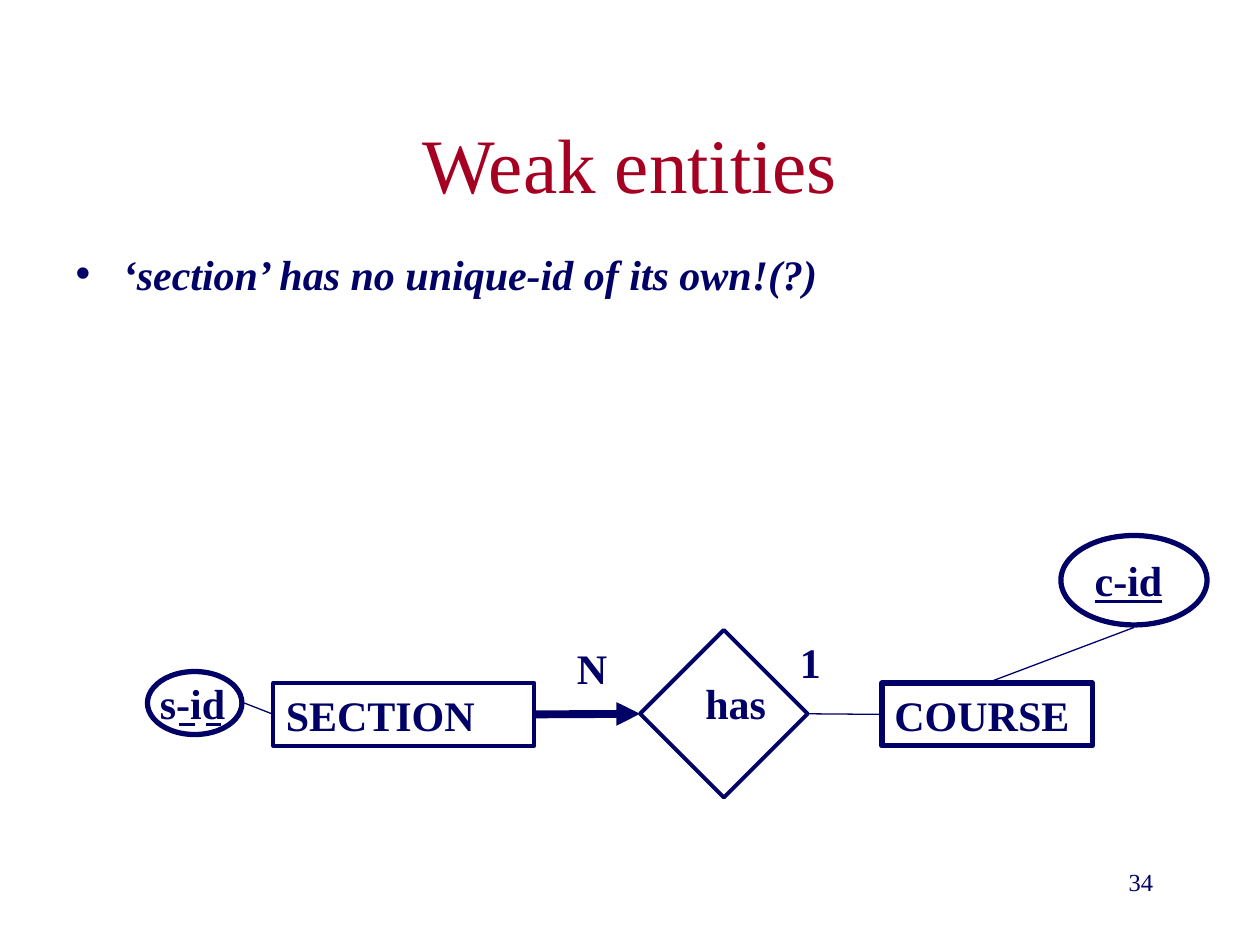
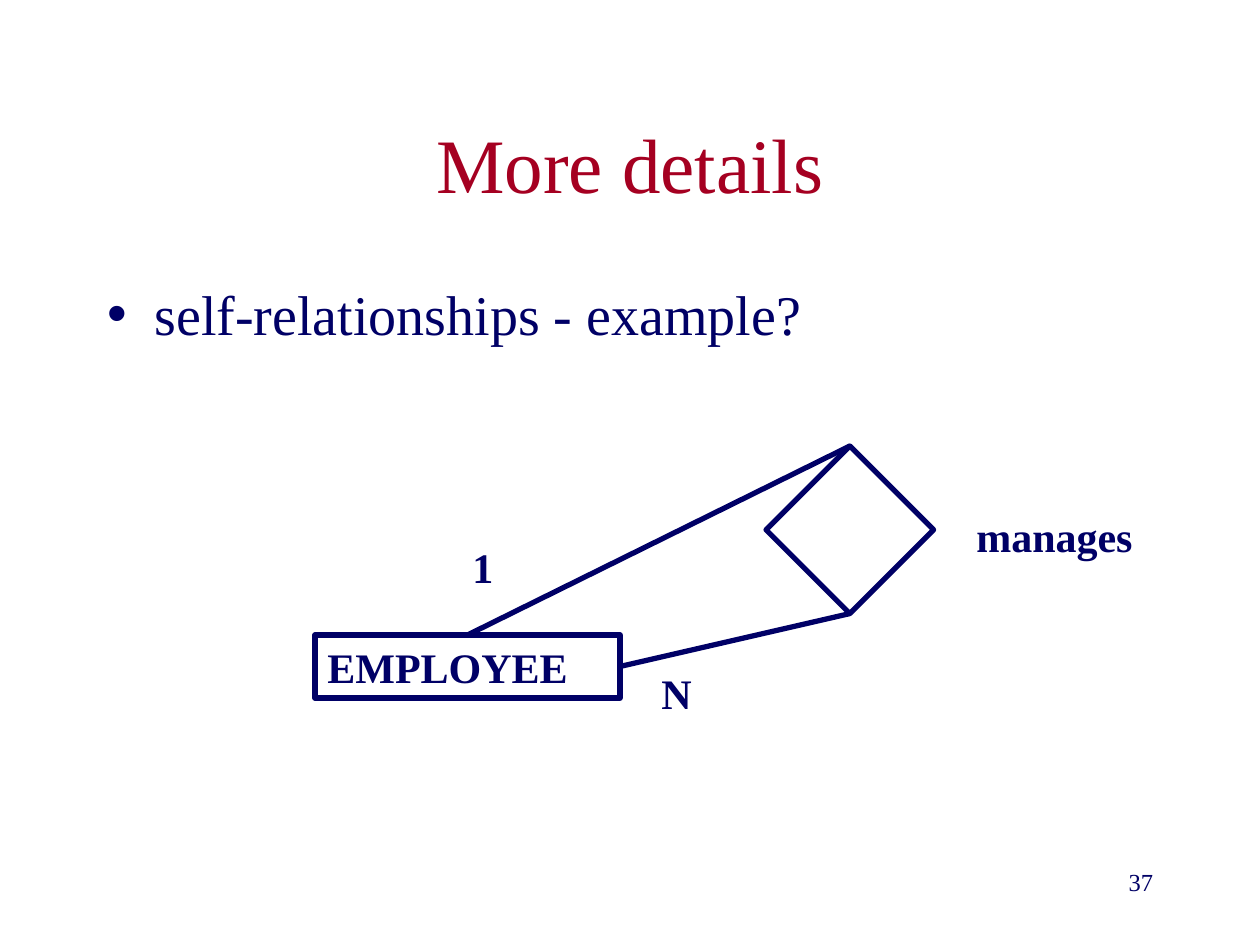
from pptx import Presentation
from pptx.dml.color import RGBColor
from pptx.enum.dml import MSO_LINE
from pptx.enum.shapes import MSO_CONNECTOR, MSO_SHAPE
from pptx.enum.text import MSO_ANCHOR, PP_ALIGN
from pptx.oxml.ns import qn
from pptx.util import Inches, Pt
from lxml import etree

FONT = "Times New Roman"
NAVY = "000066"
CRIMSON = "A50021"
TITLE_AND_CONTENT = 1
TOP, LEFT, BOTTOM, RIGHT = range(4)
RECTANGLE, ELLIPSE, DIAMOND = MSO_SHAPE.RECTANGLE, MSO_SHAPE.OVAL, MSO_SHAPE.DIAMOND
STRAIGHT = MSO_CONNECTOR.STRAIGHT
DASH = MSO_LINE.DASH
ALIGN_LEFT, ALIGN_CENTER, ALIGN_RIGHT = PP_ALIGN.LEFT, PP_ALIGN.CENTER, PP_ALIGN.RIGHT
ANCHOR_TOP, ANCHOR_MIDDLE = MSO_ANCHOR.TOP, MSO_ANCHOR.MIDDLE

TITLE_BOX = (0.75, 0.67, 8.5, 1.25)
NUMBER_BOX = (7.17, 6.83, 2.08, 0.5)
LABEL_HEIGHT = 0.5
DIAMOND_SIZE = 1.33


def rgb(color):
    return RGBColor.from_string(color)


def write(shape, text, size=24, color=NAVY, bold=False, italic=False, underline=False,
          align=ALIGN_LEFT, anchor=ANCHOR_TOP, wrap=True):
    frame = shape.text_frame
    frame.word_wrap = wrap
    frame.vertical_anchor = anchor
    paragraph = frame.paragraphs[0]
    paragraph.alignment = align
    run = paragraph.add_run()
    run.text = text
    font = run.font
    font.name, font.size = FONT, Pt(size)
    font.bold, font.italic, font.underline = bold, italic, underline
    font.color.rgb = rgb(color)


def place(shape, box):
    shape.left, shape.top, shape.width, shape.height = map(Inches, box)


def add_base_slide(presentation, title, bullet, bullet_box, number, **bullet_format):
    """Add a slide with its title, one bullet and the slide number."""
    slide = presentation.slides.add_slide(presentation.slide_layouts[TITLE_AND_CONTENT])
    place(slide.shapes.title, TITLE_BOX)
    write(slide.shapes.title, title, size=44, color=CRIMSON, align=ALIGN_CENTER,
          anchor=ANCHOR_MIDDLE)
    body = slide.placeholders[1]
    place(body, bullet_box)
    write(body, bullet, **bullet_format)
    number_box = slide.shapes.add_textbox(*map(Inches, NUMBER_BOX))
    write(number_box, number, size=14, align=ALIGN_RIGHT)
    return slide


def add_node(slide, kind, box, text="", line_width=3, **text_format):
    """Add an outlined entity, attribute or relationship."""
    shape = slide.shapes.add_shape(kind, *map(Inches, box))
    shape.shadow.inherit = False
    shape.fill.background()
    shape.line.color.rgb = rgb(NAVY)
    shape.line.width = Pt(line_width)
    if text:
        write(shape, text, bold=True, **text_format)
    return shape


def add_diamond(slide, left, top, line_width=3):
    return add_node(slide, DIAMOND, (left, top, DIAMOND_SIZE, DIAMOND_SIZE),
                    line_width=line_width)


def add_label(slide, text, left, top, width):
    box = slide.shapes.add_textbox(*map(Inches, (left, top, width, LABEL_HEIGHT)))
    write(box, text, bold=True, wrap=False)


def add_line(slide, start, end, width=0.75, dash=None, arrow=False):
    """Draw a line; each end is an (x, y) point or a (shape, side) pair."""
    connector = slide.shapes.add_connector(STRAIGHT, 0, 0, 0, 0)
    if isinstance(start[0], (int, float)):
        connector.begin_x, connector.begin_y = map(Inches, start)
    else:
        connector.begin_connect(*start)
    if isinstance(end[0], (int, float)):
        connector.end_x, connector.end_y = map(Inches, end)
    else:
        connector.end_connect(*end)
    connector.line.color.rgb = rgb(NAVY)
    connector.line.width = Pt(width)
    if dash:
        connector.line.dash_style = dash
    properties = connector._element.spPr
    if arrow:
        etree.SubElement(properties.find(qn("a:ln")), qn("a:tailEnd"), type="triangle")
    etree.SubElement(properties, qn("a:effectLst"))


def build_weak_entities(presentation):
    slide = add_base_slide(presentation, "Weak entities",
                           "‘section’ has no unique-id of its own!(?)",
                           (0.5, 1.92, 8.42, 3.13), "34", bold=True, italic=True)
    course = add_node(slide, RECTANGLE, (7, 5.42, 1.67, 0.5), "COURSE")
    add_node(slide, ELLIPSE, (8.42, 4.25, 1.16, 0.71), "c-id", underline=True)
    section = add_node(slide, RECTANGLE, (2.17, 5.42, 2.07, 0.5), "SECTION", line_width=2.25)
    add_node(slide, ELLIPSE, (1.17, 5.33, 0.75, 0.5))
    has = add_diamond(slide, 5.08, 5, line_width=2.25)

    add_label(slide, "s-id", 1.17, 5.33, 0.75)
    add_label(slide, "has", 5.5, 5.33, 0.68)
    add_label(slide, "N", 4.48, 5.05, 0.44)
    add_label(slide, "1", 6.25, 5, 0.36)

    add_line(slide, (9, 4.98), (course, TOP))
    add_line(slide, (1.94, 5.58), (section, LEFT))
    add_line(slide, (has, RIGHT), (course, LEFT))
    add_line(slide, (section, RIGHT), (has, LEFT), width=4.5, arrow=True)
    add_line(slide, (1.42, 5.75), (1.75, 5.75), width=2.25, dash=DASH)


def build_more_details(presentation):
    slide = add_base_slide(presentation, "More details", "self-relationships - example?",
                           (0.75, 2.17, 8.58, 0.83), "37", size=32)
    employee = add_node(slide, RECTANGLE, (2.5, 5.04, 2.42, 0.5), "EMPLOYEE")
    manages = add_diamond(slide, 6.08, 3.54)
    add_line(slide, (employee, TOP), (manages, TOP), width=3)
    add_line(slide, (manages, BOTTOM), (employee, RIGHT), width=3)
    add_label(slide, "manages", 7.65, 4, 1.44)
    add_label(slide, "1", 3.65, 4.25, 0.36)
    add_label(slide, "N", 5.15, 5.25, 0.44)


def main():
    presentation = Presentation()
    presentation.slide_width, presentation.slide_height = Inches(10), Inches(7.5)
    build_weak_entities(presentation)
    build_more_details(presentation)
    presentation.save("out.pptx")


if __name__ == "__main__":
    main()
